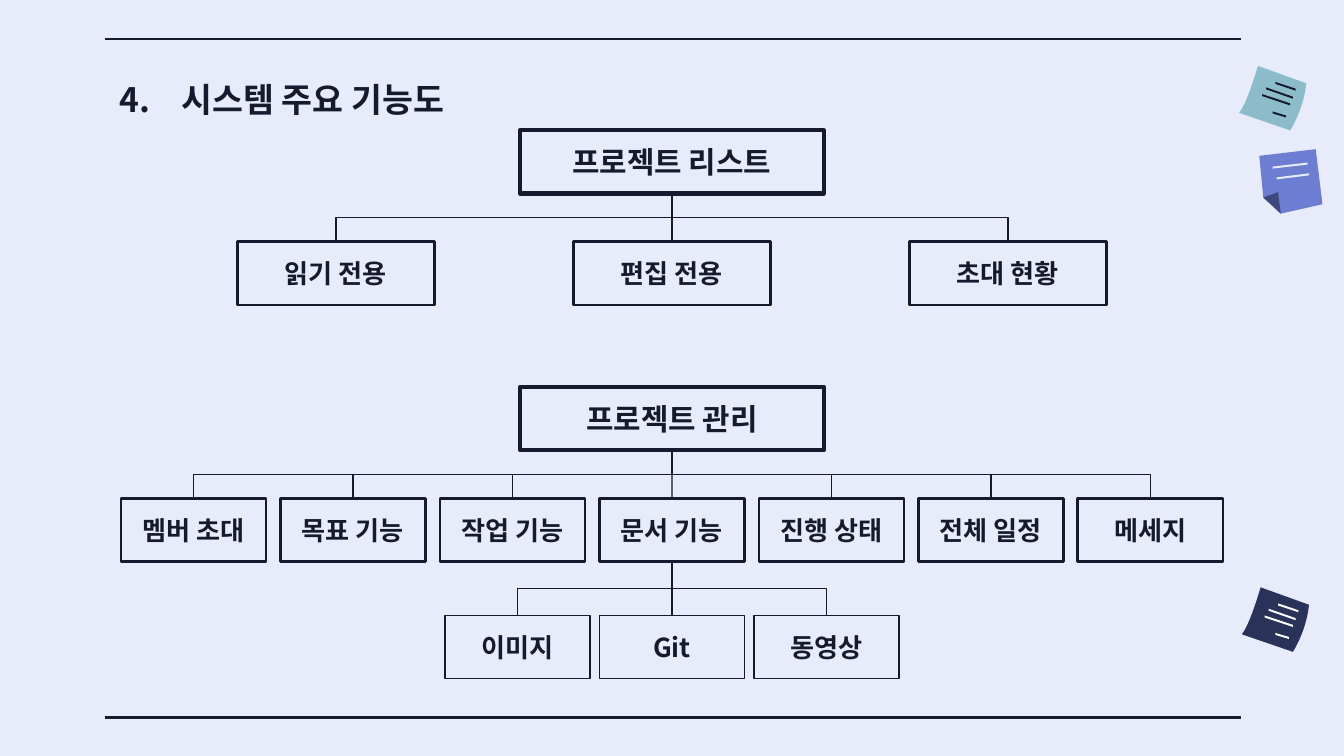
from pptx import Presentation, util as u
from pptx.dml.color import RGBColor
from pptx.enum import shapes, text
from pptx.oxml import ns, xmlchemy

FONT = "Noto Sans CJK KR"
COLORS = {"ink": "151A2E", "paper": "E8EBFA", "teal": "8CBCC9", "violet": "6D7DD2",
          "fold": "3D497B", "navy": "293259", "white": "FFFFFF"}
W, H = 10, 10 * 9 / 16
CENTER = W / 2
BOX_H = 0.47
NOTE_EDGES = [[(0.5, 0.13), (0.48, 0.33), (0.38, 0.48), (0.38, 0.48)],
              [(0, 0.35), (0.06, 0.28), (0.14, 0), (0.14, 0)]]
NOTE_STROKES = [(0.27, 0.12, 0.42, 0.17), (0.2, 0.16, 0.4, 0.23),
                (0.17, 0.21, 0.38, 0.28), (0.25, 0.34, 0.35, 0.37)]
FOLDED_SHEET = [(0.42, 0), (0.47, 0.41), (0.16, 0.48), (0.03, 0.36), (0, 0.05)]
FOLDED_CORNER = [(0.14, 0.32), (0.16, 0.48), (0.03, 0.36)]
FOLDED_STROKES = [(0.1, 0.13, 0.36, 0.1), (0.13, 0.21, 0.37, 0.18)]


def rgb(name):
    """Look up a palette colour."""
    return RGBColor.from_string(COLORS[name])


def style_text(tf, size, anchor):
    """Format the only paragraph of a text frame and return it."""
    tf.word_wrap = True
    tf.auto_size = text.MSO_AUTO_SIZE.NONE
    tf.vertical_anchor = anchor
    tf.margin_left = tf.margin_right = tf.margin_top = tf.margin_bottom = u.Inches(0.1)
    p = tf.paragraphs[0]
    f = p.font
    f.size, f.bold, f.name = u.Pt(size), True, FONT
    f.color.rgb = rgb("ink")
    ea = xmlchemy.OxmlElement("a:ea")
    ea.set("typeface", FONT)
    p._p.pPr.find(ns.qn("a:defRPr")).append(ea)
    return p


def add_title(s, number, words):
    """Place the numbered title with a hanging indent."""
    sp = s.shapes.title
    sp.left, sp.top, sp.width, sp.height = map(u.Inches, (0.79, 0.49, 8.43, 0.63))
    sp.text_frame.text = f"{number}\t{words}"
    p = style_text(sp.text_frame, 18, text.MSO_ANCHOR.TOP)
    p.alignment = text.PP_ALIGN.LEFT
    p._p.pPr.set("marL", str(u.Inches(0.46)))
    p._p.pPr.set("indent", str(u.Inches(-0.46)))


def add_box(s, label, center, top, width, weight, size=14):
    """Add an outlined box centred on a column."""
    sp = s.shapes.add_shape(shapes.MSO_SHAPE.RECTANGLE,
                            *map(u.Inches, (center - width / 2, top, width, BOX_H)))
    sp.shadow.inherit = False
    sp.fill.background()
    sp.line.color.rgb = rgb("ink")
    sp.line.width = u.Pt(weight)
    sp.text_frame.text = label
    p = style_text(sp.text_frame, size, text.MSO_ANCHOR.MIDDLE)
    p.alignment = text.PP_ALIGN.CENTER
    return sp


def add_line(s, kind, ends, weight):
    """Add a plain connector between two points in EMU."""
    c = s.shapes.add_connector(kind, *map(int, ends))
    c.line.color.rgb = rgb("ink")
    c.line.width = u.Pt(weight)
    c._element.spPr.append(xmlchemy.OxmlElement("a:effectLst"))
    return c


def link(s, parent, child):
    """Join a parent's bottom to a child's top, with an elbow when off centre."""
    x0, y0 = parent.left + parent.width / 2, parent.top + parent.height
    x1, y1 = child.left + child.width / 2, child.top
    if abs(x1 - x0) < u.Inches(0.01):
        c = add_line(s, shapes.MSO_CONNECTOR.STRAIGHT, (x0, y0, x1, y1), 0.75)
        c.begin_connect(parent, 2)
        c.end_connect(child, 0)
        return
    mx, my, half_drop, half_span = (x0 + x1) / 2, (y0 + y1) / 2, (y1 - y0) / 2, (x1 - x0) / 2
    c = add_line(s, shapes.MSO_CONNECTOR.ELBOW,
                 (mx - half_drop, my + half_span, mx + half_drop, my - half_span), 0.75)
    c._element.spPr.find(ns.qn("a:xfrm")).set("rot", str(90 * 60000))


def add_row(s, parent, labels, top, pitch, width, weight):
    """Add evenly spaced child boxes under a parent and return them."""
    first = CENTER - pitch * (len(labels) - 1) / 2
    row = [add_box(s, label, first + i * pitch, top, width, weight)
           for i, label in enumerate(labels)]
    for child in row:
        link(s, parent, child)
    return row


def add_polygon(s, points, origin, color):
    """Add a filled outline placed relative to an origin."""
    pts = [(u.Inches(origin[0] + x), u.Inches(origin[1] + y)) for x, y in points]
    fb = s.shapes.build_freeform(*pts[0])
    fb.add_line_segments(pts[1:])
    sp = fb.convert_to_shape()
    sp.shadow.inherit = False
    sp.fill.solid()
    sp.fill.fore_color.rgb = rgb(color)
    sp.line.fill.background()


def curve(points, steps=10):
    """Sample a cubic curve."""
    def at(t):
        k = ((1 - t) ** 3, 3 * t * (1 - t) ** 2, 3 * t * t * (1 - t), t ** 3)
        return tuple(sum(a * p[i] for a, p in zip(k, points)) for i in (0, 1))
    return [at(i / steps) for i in range(steps + 1)]


def add_note(s, origin, outline, color, strokes, stroke_color):
    """Add a sticky note with its writing strokes."""
    add_polygon(s, outline, origin, color)
    for x0, y0, x1, y1 in strokes:
        bar = [(x0, y0), (x1, y1), (x1, y1 + 0.015), (x0, y0 + 0.015)]
        add_polygon(s, bar, origin, stroke_color)


def add_frame(s):
    """Add the top and bottom rules and the notes at the margin."""
    for y in (0.29, 5.34):
        add_line(s, shapes.MSO_CONNECTOR.STRAIGHT, map(u.Inches, (0.78, y, 9.23, y)), 1.5)
    curled = [pt for edge in NOTE_EDGES for pt in curve(edge)]
    add_note(s, (9.22, 0.49), curled, "teal", NOTE_STROKES, "ink")
    add_note(s, (9.37, 1.11), FOLDED_SHEET, "violet", FOLDED_STROKES, "paper")
    add_polygon(s, FOLDED_CORNER, (9.37, 1.11), "fold")
    add_note(s, (9.24, 4.37), curled, "navy", NOTE_STROKES, "white")


def main():
    """Build the function chart slide."""
    prs = Presentation()
    prs.slide_width, prs.slide_height = u.Inches(W), u.Inches(H)
    s = prs.slides.add_slide(prs.slide_layouts[5])
    s.background.fill.solid()
    s.background.fill.fore_color.rgb = rgb("paper")
    add_frame(s)
    add_title(s, "4.", "시스템 주요 기능도")

    project_list = add_box(s, "프로젝트 리스트", CENTER, 0.97, 2.26, 2.25, 16)
    add_row(s, project_list, ["읽기 전용", "편집 전용", "초대 현황"], 1.8, 2.5, 1.47, 1.5)

    management = add_box(s, "프로젝트 관리", CENTER, 2.88, 2.26, 2.25, 16)
    features = add_row(s, management,
                       ["멤버 초대", "목표 기능", "작업 기능", "문서 기능",
                        "진행 상태", "전체 일정", "메세지"], 3.71, 7.12 / 6, 1.08, 1.5)
    add_row(s, features[3], ["이미지", "Git", "동영상"], 4.58, 1.15, 1.08, 0.75)
    prs.save("out.pptx")


if __name__ == "__main__":
    main()
